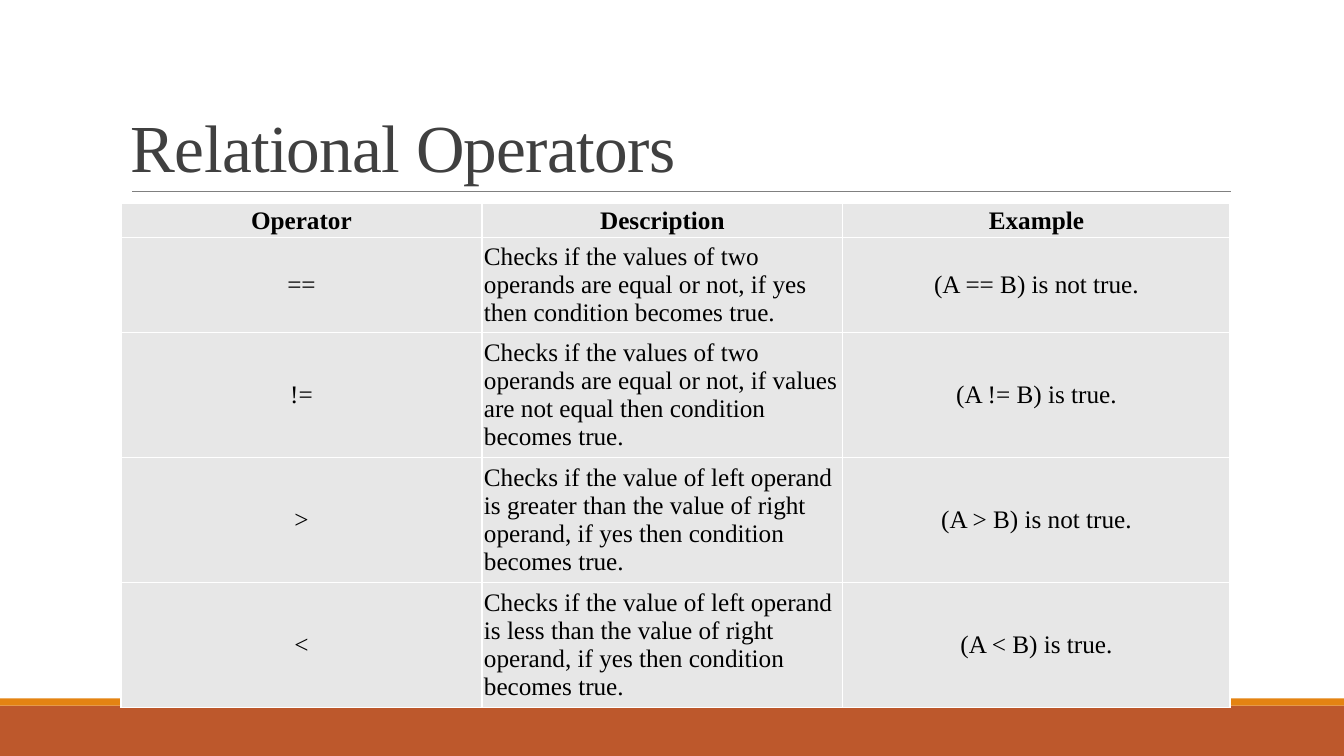
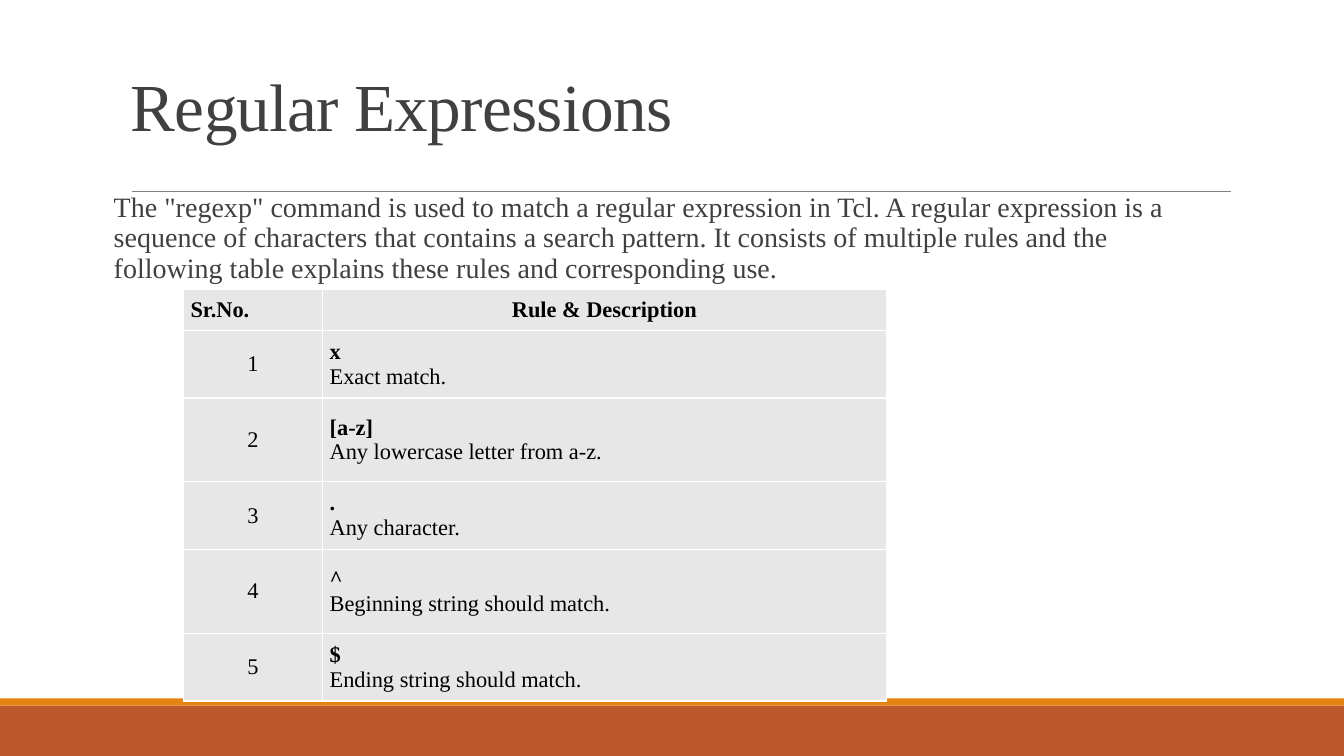
"""Build two slides on relational operators and regular expressions."""
from lxml import etree
from pptx import Presentation
from pptx import util as u
from pptx.dml.color import RGBColor
from pptx.enum import shapes, text
from pptx.oxml.ns import qn

FONT = "Times New Roman"
RUST, ORANGE, GREY = "BD582C", "E48312", "808080"
INK, BLACK, WHITE, CELL = "404040", "000000", "FFFFFF", "E7E7E7"
BANDS = [(7, 0.5, RUST), (6.93, 0.07, ORANGE)]

pages = [
    {
        "title": "Relational Operators",
        "title_top": 0.31,
        "title_height": 1.59,
        "body": None,
        "left": 1.2,
        "top": 2.02,
        "columns": [3.58, 3.58, 3.84],
        "heights": [0.32, 0.88, 1.16, 1.16, 1.16],
        "size": 18,
        "margin": 0.02,
        "left_aligned_header": False,
        "rows": [
            ["Operator", "Description", "Example"],
            ["==", "Checks if the values of two operands are equal or not, "
             "if yes then condition becomes true.", "(A == B) is not true."],
            ["!=", "Checks if the values of two operands are equal or not, "
             "if values are not equal then condition becomes true.", "(A != B) is true."],
            [">", "Checks if the value of left operand is greater than the value of "
             "right operand, if yes then condition becomes true.", "(A > B) is not true."],
            ["<", "Checks if the value of left operand is less than the value of "
             "right operand, if yes then condition becomes true.", "(A < B) is true."],
        ],
    },
    {
        "title": "Regular Expressions",
        "title_top": 0.67,
        "title_height": 0.82,
        "body": 'The "regexp" command is used to match a regular expression in Tcl. '
                "A regular expression is a sequence of characters that contains a search "
                "pattern. It consists of multiple rules and the following table explains "
                "these rules and corresponding use.",
        "left": 1.82,
        "top": 2.87,
        "columns": [1.38, 5.59],
        "heights": [0.36, 0.6, 0.83, 0.6, 0.83, 0.6],
        "size": 16,
        "margin": 0.07,
        "left_aligned_header": True,
        "rows": [
            ["Sr.No.", "Rule & Description"],
            ["1", "x\nExact match."],
            ["2", "[a-z]\nAny lowercase letter from a-z."],
            ["3", ".\nAny character."],
            ["4", "^\nBeginning string should match."],
            ["5", "$\nEnding string should match."],
        ],
    },
]


def colour(value):
    """Turn a hex string into a colour."""
    return RGBColor.from_string(value)


def style(para, size, ink, bold=False):
    """Format every run of a paragraph."""
    for span in para.runs:
        span.font.name = FONT
        span.font.size = u.Pt(size)
        span.font.bold = bold
        span.font.color.rgb = colour(ink)


deck = Presentation()
deck.slide_width, deck.slide_height = u.Inches(13.33), u.Inches(7.5)

for content in pages:
    page = deck.slides.add_slide(deck.slide_layouts[6])

    for top, height, fill in BANDS:
        band = page.shapes.add_shape(shapes.MSO_SHAPE.RECTANGLE, 0, u.Inches(top),
                                     deck.slide_width, u.Inches(height))
        band.shadow.inherit = False
        band.fill.solid()
        band.fill.fore_color.rgb = colour(fill)
        band.line.fill.background()

    rule = page.shapes.add_connector(shapes.MSO_CONNECTOR.STRAIGHT, u.Inches(1.31),
                                     u.Inches(1.9), u.Inches(12.21), u.Inches(1.9))
    rule.line.color.rgb = colour(GREY)
    rule.line.width = u.Pt(0.5)
    etree.SubElement(rule.element.spPr, qn("a:effectLst"))

    title = page.shapes.add_textbox(u.Inches(1.2), u.Inches(content["title_top"]),
                                    u.Inches(11), u.Inches(content["title_height"]))
    frame = title.text_frame
    frame.word_wrap = True
    frame.vertical_anchor = text.MSO_ANCHOR.BOTTOM
    frame.text = content["title"]
    para = frame.paragraphs[0]
    para.line_spacing = 0.85
    style(para, 48, INK)
    para.runs[0].font._element.set("spc", "-50")

    if content["body"]:
        body = page.shapes.add_textbox(u.Inches(1.03), u.Inches(1.87),
                                       u.Inches(11), u.Inches(4.4))
        frame = body.text_frame
        frame.word_wrap = True
        frame.margin_left, frame.margin_right = u.Inches(0.1), 0
        frame.text = content["body"]
        para = frame.paragraphs[0]
        para.line_spacing = 0.9
        style(para, 20, INK)

    rows, columns, heights = content["rows"], content["columns"], content["heights"]
    table = page.shapes.add_table(
        len(rows), len(columns), u.Inches(content["left"]), u.Inches(content["top"]),
        u.Inches(sum(columns)), u.Inches(sum(heights))).table
    table.first_row = table.horz_banding = False
    for column, width in zip(table.columns, columns):
        column.width = u.Inches(width)
    for row, height in zip(table.rows, heights):
        row.height = u.Inches(height)

    for row_number, row in enumerate(rows):
        for column_number, words in enumerate(row):
            cell = table.cell(row_number, column_number)
            header = row_number == 0
            margin = u.Inches(content["margin"])
            cell.margin_left = cell.margin_right = margin
            cell.margin_top = cell.margin_bottom = margin
            cell.vertical_anchor = text.MSO_ANCHOR.MIDDLE

            properties = cell._tc.get_or_add_tcPr()
            for side in ("a:lnL", "a:lnR", "a:lnT", "a:lnB"):
                border = etree.SubElement(properties, qn(side), w=str(u.Pt(1)))
                paint = etree.SubElement(border, qn("a:solidFill"))
                etree.SubElement(paint, qn("a:srgbClr"), val=WHITE)
            cell.fill.solid()
            cell.fill.fore_color.rgb = colour(CELL)

            if header:
                left_aligned = content["left_aligned_header"] and column_number == 0
            else:
                left_aligned = column_number == 1
            cell.text_frame.text = words
            paragraphs = cell.text_frame.paragraphs
            for number, para in enumerate(paragraphs):
                para.alignment = text.PP_ALIGN.LEFT if left_aligned else text.PP_ALIGN.CENTER
                style(para, content["size"], BLACK,
                      header or (len(paragraphs) > 1 and number == 0))

deck.save("out.pptx")
